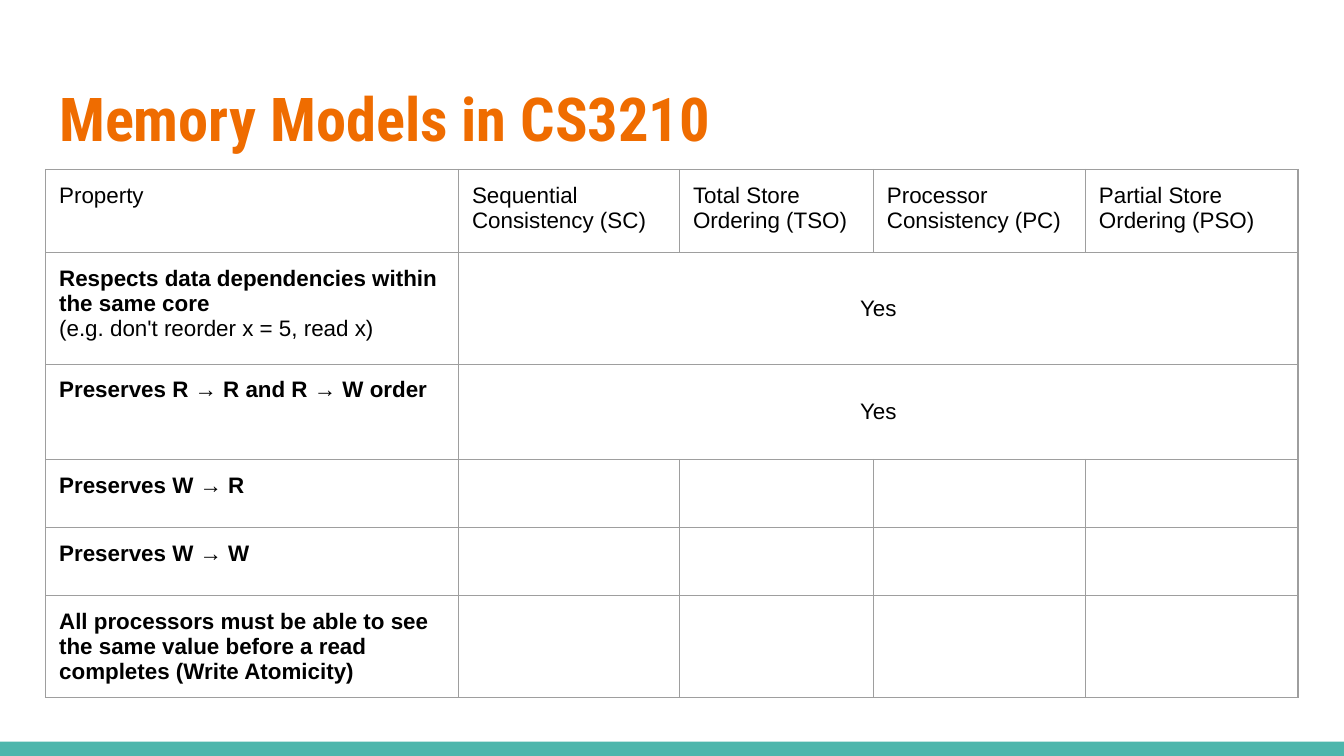
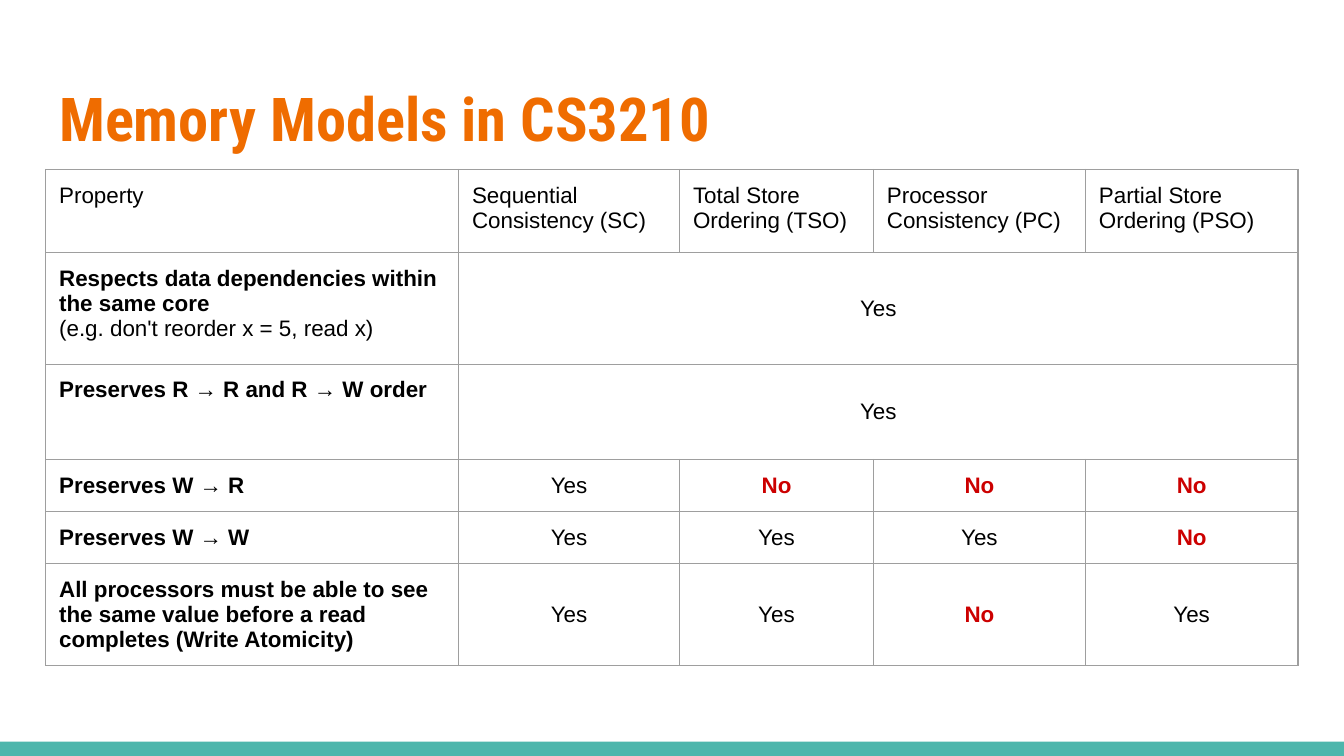
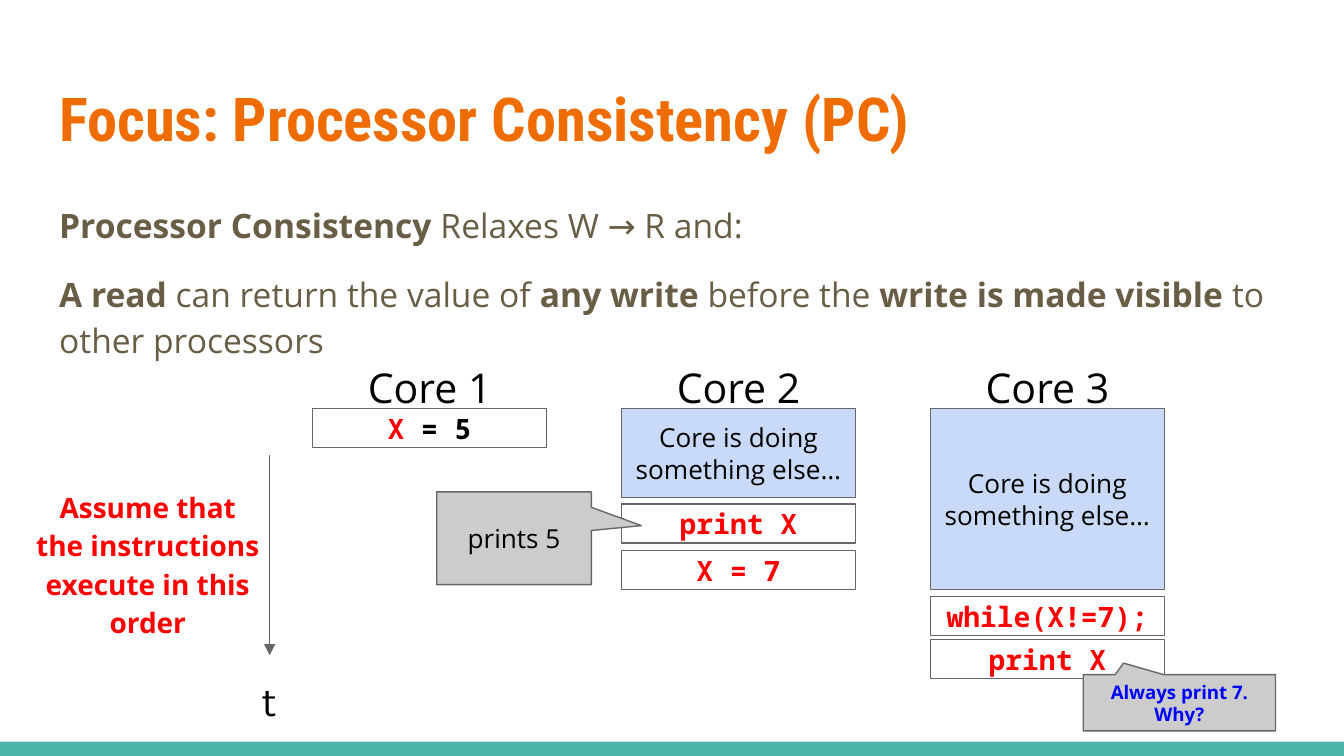
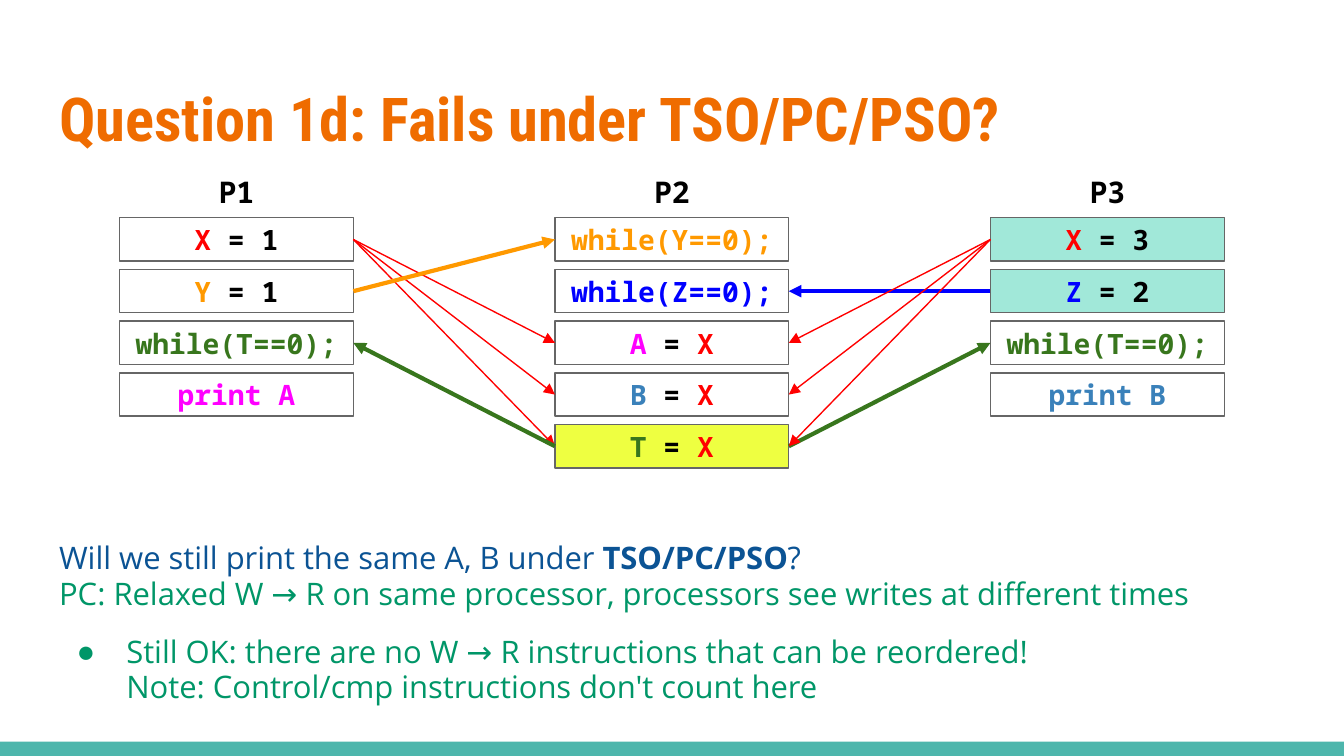
from copy import deepcopy

from lxml.etree import SubElement
from pptx import Presentation
from pptx.dml.color import RGBColor
from pptx.enum.shapes import MSO_CONNECTOR, MSO_SHAPE
from pptx.enum.text import MSO_ANCHOR as Anchor, MSO_AUTO_SIZE, PP_ALIGN as Align
from pptx.oxml.ns import qn
from pptx.util import Pt

# ---- Shared look ----
TEAL, GREY, SILVER, GRID = "4DB6AC", "666666", "CCCCCC", "9E9E9E"
PALE_BLUE, MINT, YELLOW, WHITE = "C9DAF8", "A1E8D9", "EEFF41", "FFFFFF"
BULLET_GREEN = "009668"

PLAIN, BOLD = {}, {"bold": True}
BLACK, RED, ORANGE = {"color": "000000"}, {"color": "FF0000"}, {"color": "FF9900"}
BLUE, GREEN = {"color": "0000FF"}, {"color": "38761D"}
MAGENTA, STEEL = {"color": "FF00FF"}, {"color": "3A81BA"}
NEGATIVE = {"color": "CC0000", "bold": True}

TITLE_FONT = {"name": "Roboto Condensed", "size": Pt(32.4), "bold": True, "color": "EF6C00"}
TABLE_FONT = {"name": "Arial", "size": Pt(12), "bold": False, **BLACK}
BODY_FONT = {"name": "Open Sans", "size": Pt(18), "bold": False, "color": "695D46"}
ANSWER_FONT = {**BODY_FONT, "size": Pt(16.6), "color": "0B5394"}
CODE_FONT = {"name": "Noto Sans Mono", "size": Pt(15), "bold": True, **BLACK}
PROCESSOR_FONT = {**CODE_FONT, "size": Pt(16)}
CORE_FONT = {**BODY_FONT, "size": Pt(22), **BLACK}
TIME_FONT = {**CORE_FONT, "name": "Karla"}
NOTE_FONT = {**BODY_FONT, "size": Pt(14), **BLACK}
ORDER_FONT = {**BODY_FONT, "size": Pt(15), "bold": True, **RED}
WHY_FONT = {**BODY_FONT, "size": Pt(10), "bold": True, **BLUE}

CENTRED = {"alignment": Align.CENTER}
LABEL = {"alignment": Align.CENTER, "line_spacing": 1.15}

TITLE_AREA = (24.5, 35.3, 671, 55.4)
BAND_AREA = (0, 397.4, 720, 7.6)

# ---- Slides 1 and 2: memory models ----
MODELS_TITLE = "Memory Models in CS3210"
MODELS_HEADER = [
    "Property", "Sequential Consistency (SC)", "Total Store Ordering (TSO)",
    "Processor Consistency (PC)", "Partial Store Ordering (PSO)",
]
PROPERTIES = [
    [("Respects data dependencies within the same core\n", BOLD),
     ("(e.g. don't reorder x = 5, read x)", PLAIN)],
    [("Preserves R → R and R → W order", BOLD)],
    [("Preserves W → R", BOLD)],
    [("Preserves W → W", BOLD)],
    [("All processors must be able to see the same value before a read "
      "completes (Write Atomicity)", BOLD)],
]
SHARED_ANSWERS = [["Yes"], ["Yes"]]  # a single answer spans all models
OPEN_ANSWERS = SHARED_ANSWERS + [[""] * 4] * 3
FULL_ANSWERS = SHARED_ANSWERS + [
    ["Yes", "No", "No", "No"],
    ["Yes", "Yes", "Yes", "No"],
    ["Yes", "Yes", "No", "Yes"],
]
MODELS_CORNER = (24.5, 90.8)
MODELS_WIDTHS = [221.2, 118.4, 103.9, 113.6, 113.8]
OPEN_HEIGHTS = [44.6, 59.7, 51.1, 34.3, 34.3, 54.8]
FULL_HEIGHTS = [44.6, 59.7, 51.1, 27.7, 27.7, 54.8]

# ---- Slide 3: processor consistency ----
FOCUS_TITLE = "Focus: Processor Consistency (PC)"
FOCUS_AREA = (24.5, 99.4, 671, 260)
FOCUS_BODY = [
    ([("Processor Consistency", BOLD), (" Relaxes W → R and:", PLAIN)],
     {"line_spacing": 1.15}),
    ([("A read", BOLD), (" can return the value of ", PLAIN), ("any write", BOLD),
      (" before the ", PLAIN), ("write is made visible", BOLD),
      (" to other processors", PLAIN)],
     {"line_spacing": 1.15, "space_before": Pt(12), "space_after": Pt(12)}),
]
BUSY = "Core is doing something else…"
# Each core: name, height of its busy block, then (top, code)
CORES = [
    ("Core 1", 0, [(219, [("X", RED), (" = 5", BLACK)])]),
    ("Core 2", 47.5, [(270, [("print X", RED)]), (295, [("X = 7", RED)])]),
    ("Core 3", 96.7, [(319.7, [("while(X!=7);", RED)]), (342.5, [("print X", RED)])]),
]
CORE_LEFT, CORE_PITCH, CORE_TOP, STEP_HEIGHT = 167.5, 165.5, 219, 20.9
CORE_NAME_TOP, CORE_NAME_WIDTH, CORE_NAME_HEIGHT = 183, 157.7, 41
CALLOUTS = [
    ("Always print 7. Why?", (580.3, 361.4, 103, 30.2), (-0.29, -0.704), WHY_FONT),
    ("prints 5", (234, 263.5, 82.8, 49.7), (0.824, -0.136), NOTE_FONT),
]
TIME_ARROW = (144.5, 244, 144.5, 351)
SIDE_LABELS = [
    ("t", (126, 350.6, 36.7, 41), TIME_FONT),
    ("Assume that the instructions execute in this order",
     (10.8, 252.7, 136.8, 95.8), ORDER_FONT),
]

# ---- Slide 4: question 1d ----
QUESTION_TITLE = "Question 1d: Fails under TSO/PC/PSO?"
QUESTION_AREA = (24.5, 283, 671, 103.7)
QUESTION_BODY = [
    ([("Will we still print the same A, B under ", PLAIN), ("TSO/PC/PSO", BOLD),
      ("?\n", PLAIN),
      ("PC: Relaxed W → R on same processor, processors see writes at different times",
       {"color": BULLET_GREEN})],
     {"line_spacing": 0.95}),
    ([("Still OK: there are no W → R instructions that can be reordered!\n"
       "Note: Control/cmp instructions don't count here", {"color": BULLET_GREEN})],
     {"line_spacing": 0.95, "space_before": Pt(12), "bullet": "●"}),
]
PROCESSORS = {
    "P1": [
        ([("X", RED), (" = 1", BLACK)], WHITE),
        ([("Y ", ORANGE), ("= 1", BLACK)], WHITE),
        ([("while(T==0);", GREEN)], WHITE),
        ([("print A", MAGENTA)], WHITE),
    ],
    "P2": [
        ([("while(Y==0);", ORANGE)], WHITE),
        ([("while(Z==0);", BLUE)], WHITE),
        ([("A", MAGENTA), (" = ", BLACK), ("X", RED)], WHITE),
        ([("B", STEEL), (" = ", BLACK), ("X", RED)], WHITE),
        ([("T", GREEN), (" = ", BLACK), ("X", RED)], YELLOW),
    ],
    "P3": [
        ([("X", RED), (" = 3", BLACK)], MINT),
        ([("Z", BLUE), (" = 2", BLACK)], MINT),
        ([("while(T==0);", GREEN)], WHITE),
        ([("print B", STEEL)], WHITE),
    ],
}
# Writer and reader as (processor, step), then colour and width
FLOWS = [
    *[(("P1", 0), ("P2", step), RED, 0.75) for step in (4, 2, 3)],
    (("P1", 1), ("P2", 0), ORANGE, 2.25),
    (("P2", 4), ("P1", 2), GREEN, 2.25),
    (("P2", 4), ("P3", 2), GREEN, 2.25),
    (("P3", 1), ("P2", 1), BLUE, 2.25),
    *[(("P3", 0), ("P2", step), RED, 0.75) for step in (2, 3, 4)],
]
PROCESSOR_LEFT, PROCESSOR_PITCH = 64, 233.3
PROCESSOR_NAME_TOP, PROCESSOR_NAME_WIDTH, PROCESSOR_NAME_HEIGHT = 82.8, 59, 34
QUESTION_TOP, QUESTION_PITCH, QUESTION_STEP_HEIGHT = 116.7, 27.7, 23.2
CODE_WIDTH = 125.3
LEFT_SITE, RIGHT_SITE = 1, 3


def rgb(color):
    return RGBColor.from_string(color)


def points(area):
    return [Pt(length) for length in area]


def apply(target, values):
    for key, value in values.items():
        setattr(target, key, value)


def format_font(font, style):
    apply(font, {key: value for key, value in style.items() if key != "color"})
    font.color.rgb = rgb(style["color"])


def add_runs(paragraph, runs, base):
    """Add (text, overrides) runs; a newline becomes a line break of the same size."""
    for text, overrides in runs:
        for index, piece in enumerate(text.split("\n")):
            if index:
                paragraph.add_line_break()
                paragraph._p[-1].append(deepcopy(run._r.rPr))
            if piece:
                run = paragraph.add_run()
                run.text = piece
                format_font(run.font, {**base, **overrides})


def set_frame(frame, anchor):
    apply(frame, {"word_wrap": True, "auto_size": MSO_AUTO_SIZE.NONE, "vertical_anchor": anchor,
                  **{f"margin_{side}": Pt(7.2) for side in ("left", "right", "top", "bottom")}})


def write(shape, runs, font, layout, anchor=Anchor.MIDDLE):
    """Fill a shape with one paragraph, given as runs or as a plain string."""
    set_frame(shape.text_frame, anchor)
    paragraph = shape.text_frame.paragraphs[0]
    apply(paragraph, layout)
    add_runs(paragraph, [(runs, PLAIN)] if isinstance(runs, str) else runs, font)


def set_bullet(paragraph, bullet):
    properties = paragraph._p.get_or_add_pPr()
    properties.set("marL", str(Pt(36) if bullet else 0))
    properties.set("indent", str(Pt(-26.6) if bullet else 0))
    if bullet:
        color = SubElement(properties, qn("a:buClr"))
        SubElement(color, qn("a:srgbClr"), val=BULLET_GREEN)
        SubElement(properties, qn("a:buChar"), char=bullet)
    else:
        SubElement(properties, qn("a:buNone"))


def place(shape, area):
    apply(shape, dict(zip(("left", "top", "width", "height"), points(area))))


def add_shape(slide, area, fill=None, line=GREY, preset=MSO_SHAPE.RECTANGLE):
    shape = slide.shapes.add_shape(preset, *points(area))
    shape.shadow.inherit = False
    if fill:
        shape.fill.solid()
        shape.fill.fore_color.rgb = rgb(fill)
    else:
        shape.fill.background()
    if line:
        shape.line.color.rgb = rgb(line)
        shape.line.width = Pt(0.75)
    else:
        shape.line.fill.background()
    return shape


def add_block(slide, area, runs, font, fill=None):
    block = add_shape(slide, area, fill)
    write(block, runs, font, CENTRED)
    return block


def add_label(slide, text, area, font):
    write(slide.shapes.add_textbox(*points(area)), text, font, LABEL, Anchor.TOP)


def add_arrow(slide, ends, color, width):
    arrow = slide.shapes.add_connector(MSO_CONNECTOR.STRAIGHT, *points(ends))
    arrow.line.color.rgb = rgb(color)
    arrow.line.width = Pt(width)
    SubElement(arrow.line._get_or_add_ln(), qn("a:tailEnd"), type="triangle")
    SubElement(arrow._element.spPr, qn("a:effectLst"))
    return arrow


def add_slide(deck, title, layout_name="Title Only"):
    slide = deck.slides.add_slide(deck.slide_layouts.get_by_name(layout_name))
    add_shape(slide, BAND_AREA, TEAL, line=None)
    place(slide.shapes.title, TITLE_AREA)
    write(slide.shapes.title, title, TITLE_FONT, {"alignment": Align.LEFT})
    return slide


def fill_body(slide, area, content, font):
    body = slide.placeholders[1]
    place(body, area)
    frame = body.text_frame
    set_frame(frame, Anchor.TOP)
    for index, (runs, layout) in enumerate(content):
        paragraph = frame.add_paragraph() if index else frame.paragraphs[0]
        spacing = {"space_before": Pt(0), "space_after": Pt(0), **layout}
        bullet = spacing.pop("bullet", None)
        apply(paragraph, spacing)
        set_bullet(paragraph, bullet)
        add_runs(paragraph, runs, font)


def set_borders(cell):
    properties = cell._tc.get_or_add_tcPr()
    for side in ("a:lnL", "a:lnR", "a:lnT", "a:lnB"):
        border = SubElement(properties, qn(side), w=str(Pt(0.75)))
        fill = SubElement(border, qn("a:solidFill"))
        SubElement(fill, qn("a:srgbClr"), val=GRID)


def write_cell(cell, runs, layout=PLAIN, anchor=Anchor.TOP):
    cell.vertical_anchor = anchor
    paragraph = cell.text_frame.paragraphs[0]
    apply(paragraph, layout)
    add_runs(paragraph, runs, TABLE_FONT)


def add_models_slide(deck, answers, heights):
    slide = add_slide(deck, MODELS_TITLE)
    area = (*MODELS_CORNER, sum(MODELS_WIDTHS), sum(heights))
    table = slide.shapes.add_table(len(heights), len(MODELS_WIDTHS), *points(area)).table
    apply(table, {"first_row": False, "horz_banding": False})
    for column, width in zip(table.columns, MODELS_WIDTHS):
        column.width = Pt(width)
    for row, height in zip(table.rows, heights):
        row.height = Pt(height)
    for cell in table.iter_cells():
        apply(cell, {f"margin_{side}": Pt(7.2) for side in ("left", "right", "top", "bottom")})
        set_borders(cell)
        cell.fill.background()

    for column, model in enumerate(MODELS_HEADER):
        write_cell(table.cell(0, column), [(model, PLAIN)])
    for row, (name, verdicts) in enumerate(zip(PROPERTIES, answers), 1):
        write_cell(table.cell(row, 0), name)
        if len(verdicts) == 1:
            table.cell(row, 1).merge(table.cell(row, len(MODELS_WIDTHS) - 1))
        for column, verdict in enumerate(verdicts, 1):
            style = NEGATIVE if verdict == "No" else PLAIN
            write_cell(table.cell(row, column), [(verdict, style)], CENTRED, Anchor.MIDDLE)


def add_focus_slide(deck):
    slide = add_slide(deck, FOCUS_TITLE, "Title and Content")
    fill_body(slide, FOCUS_AREA, FOCUS_BODY, BODY_FONT)
    for index, (name, busy_height, steps) in enumerate(CORES):
        left = CORE_LEFT + index * CORE_PITCH
        name_left = left + (CODE_WIDTH - CORE_NAME_WIDTH) / 2
        add_label(slide, name, (name_left, CORE_NAME_TOP, CORE_NAME_WIDTH, CORE_NAME_HEIGHT),
                  CORE_FONT)
        if busy_height:
            add_block(slide, (left, CORE_TOP, CODE_WIDTH, busy_height), BUSY, NOTE_FONT, PALE_BLUE)
        for top, code in steps:
            add_block(slide, (left, top, CODE_WIDTH, STEP_HEIGHT), code, CODE_FONT)
    add_arrow(slide, TIME_ARROW, GREY, 0.75)
    for text, area, font in SIDE_LABELS:
        add_label(slide, text, area, font)
    for text, area, tip, font in CALLOUTS:
        callout = add_shape(slide, area, SILVER, preset=MSO_SHAPE.RECTANGULAR_CALLOUT)
        callout.adjustments[0], callout.adjustments[1] = tip
        write(callout, text, font, CENTRED)


def add_question_slide(deck):
    slide = add_slide(deck, QUESTION_TITLE, "Title and Content")
    fill_body(slide, QUESTION_AREA, QUESTION_BODY, ANSWER_FONT)
    blocks = {}
    for index, (name, steps) in enumerate(PROCESSORS.items()):
        left = PROCESSOR_LEFT + index * PROCESSOR_PITCH
        name_left = left + (CODE_WIDTH - PROCESSOR_NAME_WIDTH) / 2
        add_label(slide, name, (name_left, PROCESSOR_NAME_TOP, PROCESSOR_NAME_WIDTH,
                                PROCESSOR_NAME_HEIGHT), PROCESSOR_FONT)
        for step, (code, fill) in enumerate(steps):
            top = QUESTION_TOP + step * QUESTION_PITCH
            area = (left, top, CODE_WIDTH, QUESTION_STEP_HEIGHT)
            blocks[name, step] = add_block(slide, area, code, CODE_FONT, fill)
    for writer, reader, tint, width in FLOWS:
        rightward = writer < reader
        arrow = add_arrow(slide, (0, 0, 0, 0), tint["color"], width)
        arrow.begin_connect(blocks[writer], RIGHT_SITE if rightward else LEFT_SITE)
        arrow.end_connect(blocks[reader], LEFT_SITE if rightward else RIGHT_SITE)


def main():
    deck = Presentation()
    deck.slide_width, deck.slide_height = Pt(720), Pt(405)
    add_models_slide(deck, OPEN_ANSWERS, OPEN_HEIGHTS)
    add_models_slide(deck, FULL_ANSWERS, FULL_HEIGHTS)
    add_focus_slide(deck)
    add_question_slide(deck)
    deck.save("out.pptx")


if __name__ == "__main__":
    main()
